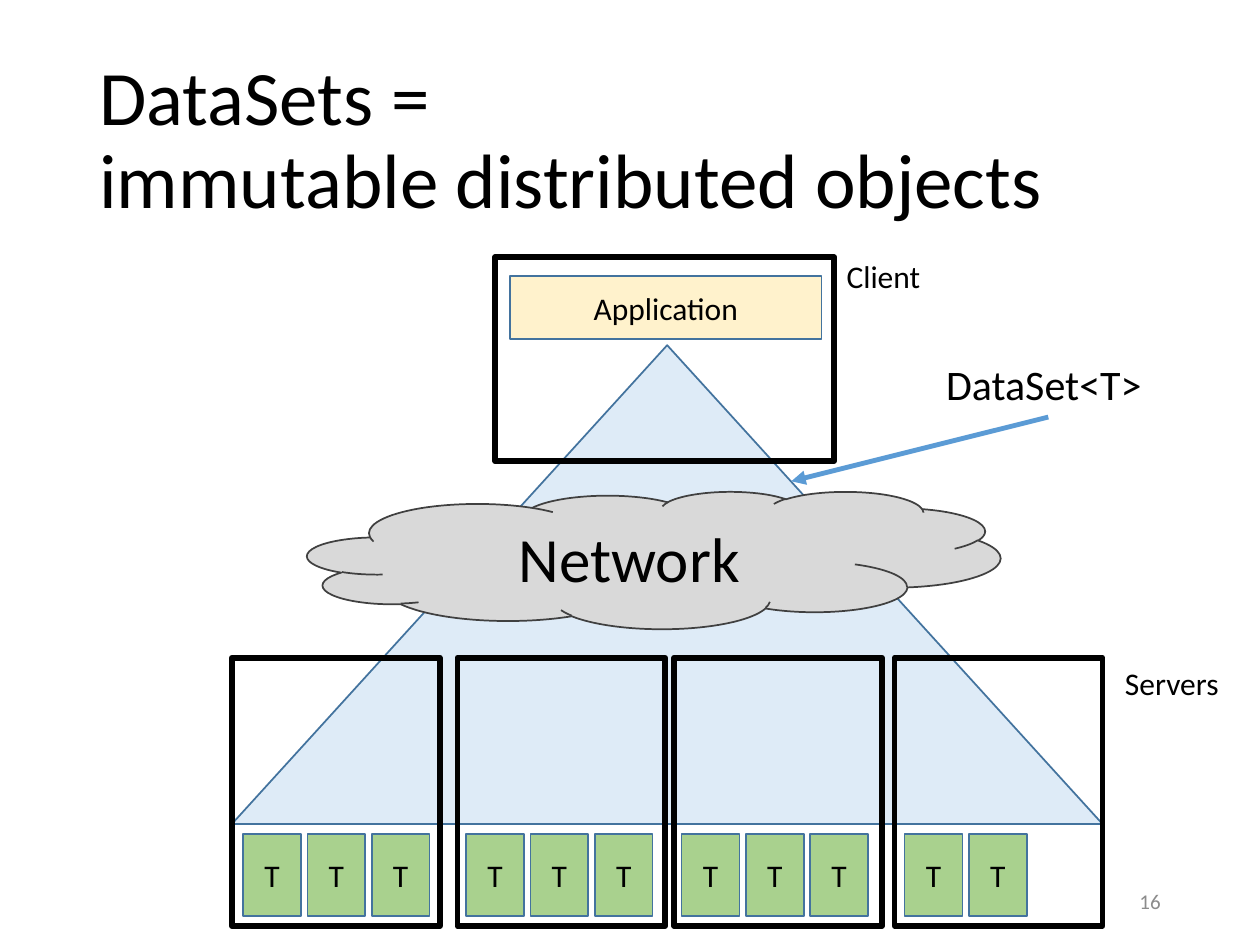
import pptx
import pptx.dml.color
import pptx.enum.shapes
import pptx.enum.text
import pptx.oxml
import pptx.oxml.ns
import pptx.util

RGBColor = pptx.dml.color.RGBColor
SHAPE = pptx.enum.shapes.MSO_SHAPE
ALIGN = pptx.enum.text.PP_ALIGN
ANCHOR = pptx.enum.text.MSO_ANCHOR

PX = 9144  # EMU, 100 px to the inch
FONT = "Calibri"
BLACK = RGBColor(0x00, 0x00, 0x00)
GRAY = RGBColor(0x8C, 0x8C, 0x8C)
BLUE = RGBColor(0x5B, 0x9B, 0xD5)
DARK_BLUE = RGBColor(0x43, 0x73, 0x9E)
PALE_BLUE = RGBColor(0xDE, 0xEB, 0xF7)
CLOUD_FILL = RGBColor(0xD9, 0xD9, 0xD9)
CLOUD_LINE = RGBColor(0x40, 0x40, 0x40)
CREAM = RGBColor(0xFF, 0xF2, 0xCC)
GREEN = RGBColor(0xA9, 0xD1, 0x8E)

TITLE_LINES = ["DataSets =", "immutable distributed objects"]
# text, box, size, wraps
LABELS = [
    ("Client", (662, 199, 79, 40), 18, False),
    ("Servers", (883, 522, 95, 40), 18, False),
    ("DataSet<T>", (741, 280, 182, 50), 24, True),
]
# server left, first object left, number of objects
SERVERS = [(184, 193, 3), (363, 370, 3), (535, 541, 3), (710, 718, 2)]
SERVER_TOP, SERVER_WIDTH, SERVER_HEIGHT = 522, 165, 213
OBJECT_TOP, OBJECT_WIDTH, OBJECT_HEIGHT, OBJECT_PITCH = 662, 46, 65, 51
ARROW = (832, 331, 628, 382)


def to_emu(box):
    return [length * PX for length in box]


def write(shape, lines, size, color=BLACK, align=ALIGN.LEFT, anchor=ANCHOR.MIDDLE, wrap=True):
    """Put the lines into one paragraph, parted by line breaks."""
    frame = shape.text_frame
    frame.word_wrap = wrap
    frame.vertical_anchor = anchor
    paragraph = frame.paragraphs[0]
    paragraph.alignment = align
    for number, line in enumerate(lines):
        if number:
            paragraph.add_line_break()
        run = paragraph.add_run()
        run.text = line
        run.font.name = FONT
        run.font.size = pptx.util.Pt(size)
        run.font.color.rgb = color
    return paragraph


def add_text(slide, box, lines, size, **style):
    return write(slide.shapes.add_textbox(*to_emu(box)), lines, size, **style)


def add_block(slide, kind, box, fill, line, width=1, text=None, size=18):
    shape = slide.shapes.add_shape(kind, *to_emu(box))
    shape.shadow.inherit = False
    if fill is None:
        shape.fill.background()
    else:
        shape.fill.solid()
        shape.fill.fore_color.rgb = fill
    shape.line.color.rgb = line
    shape.line.width = pptx.util.Pt(width)
    if text:
        write(shape, [text], size, align=ALIGN.CENTER)


def add_machine(slide, box):
    add_block(slide, SHAPE.RECTANGLE, box, None, BLACK, 3.25)


def add_arrow(slide, ends):
    arrow = slide.shapes.add_connector(
        pptx.enum.shapes.MSO_CONNECTOR.STRAIGHT, *to_emu(ends))
    arrow.line.color.rgb = BLUE
    arrow.line.width = pptx.util.Pt(2.75)
    head = pptx.oxml.parse_xml(
        f'<a:tailEnd {pptx.oxml.ns.nsdecls("a")} type="triangle"/>')
    arrow.line._get_or_add_ln().append(head)
    properties = arrow._element.spPr
    properties.append(pptx.oxml.parse_xml(f'<a:effectLst {pptx.oxml.ns.nsdecls("a")}/>'))


def main():
    presentation = pptx.Presentation()
    presentation.slide_width, presentation.slide_height = to_emu((1000, 750))
    slide = presentation.slides.add_slide(presentation.slide_layouts[6])

    title = add_text(slide, (69, 40, 862, 145), TITLE_LINES, 44)
    title.line_spacing = 0.9
    add_text(slide, (706, 695, 225, 40), ["16"], 12, color=GRAY, align=ALIGN.RIGHT)

    add_block(slide, SHAPE.ISOSCELES_TRIANGLE, (184, 274, 691, 380), PALE_BLUE, DARK_BLUE)
    add_block(slide, SHAPE.CLOUD, (244, 390, 550, 109), CLOUD_FILL, CLOUD_LINE,
              text="Network", size=36)

    add_machine(slide, (393, 204, 269, 162))
    add_block(slide, SHAPE.RECTANGLE, (405, 219, 247, 50), CREAM, DARK_BLUE,
              text="Application")

    for server_left, objects_left, count in SERVERS:
        add_machine(slide, (server_left, SERVER_TOP, SERVER_WIDTH, SERVER_HEIGHT))
        for number in range(count):
            left = objects_left + number * OBJECT_PITCH
            add_block(slide, SHAPE.RECTANGLE,
                      (left, OBJECT_TOP, OBJECT_WIDTH, OBJECT_HEIGHT),
                      GREEN, DARK_BLUE, text="T")

    for text, box, size, wrap in LABELS:
        add_text(slide, box, [text], size, anchor=ANCHOR.TOP, wrap=wrap)
    add_arrow(slide, ARROW)

    presentation.save("out.pptx")


if __name__ == "__main__":
    main()
